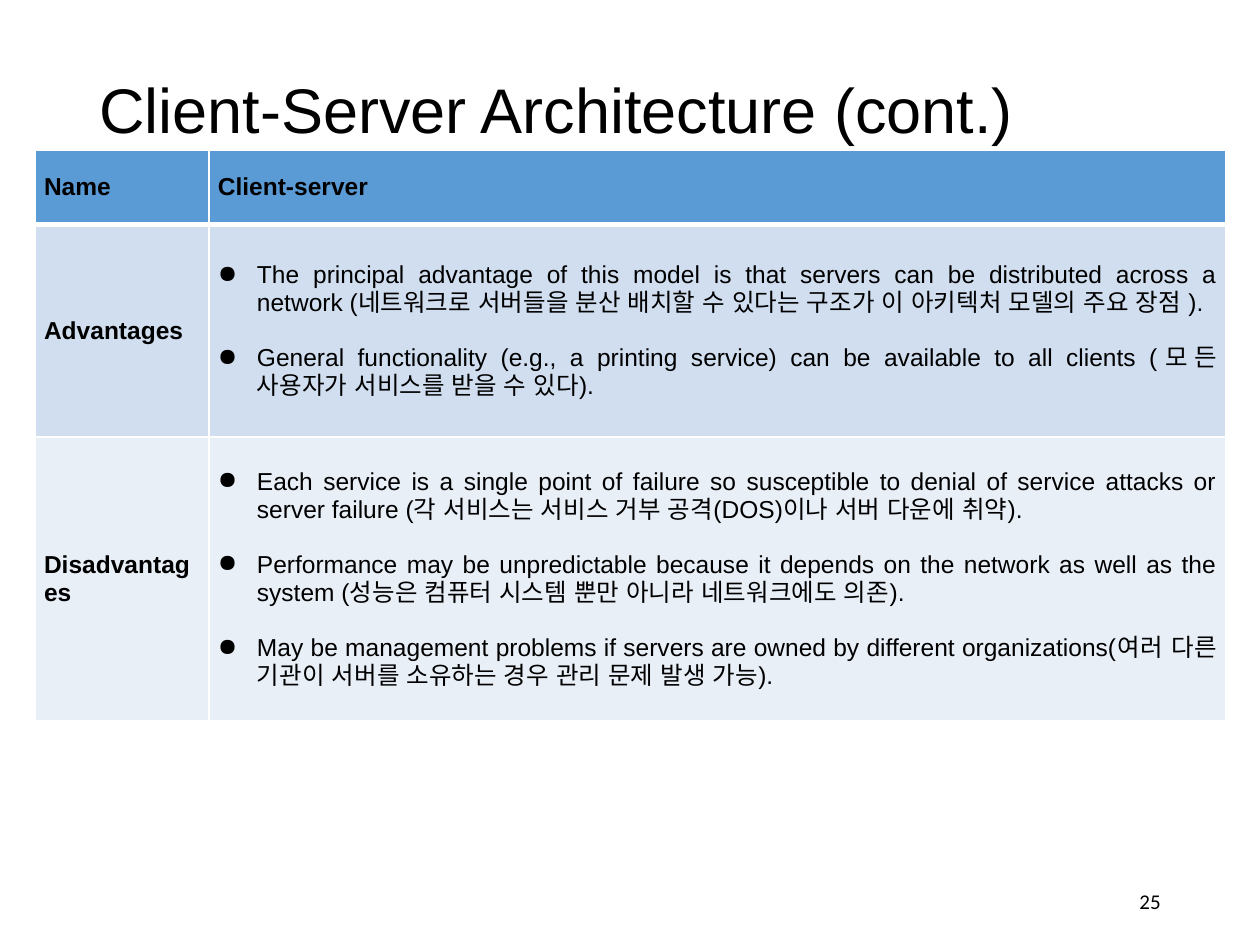
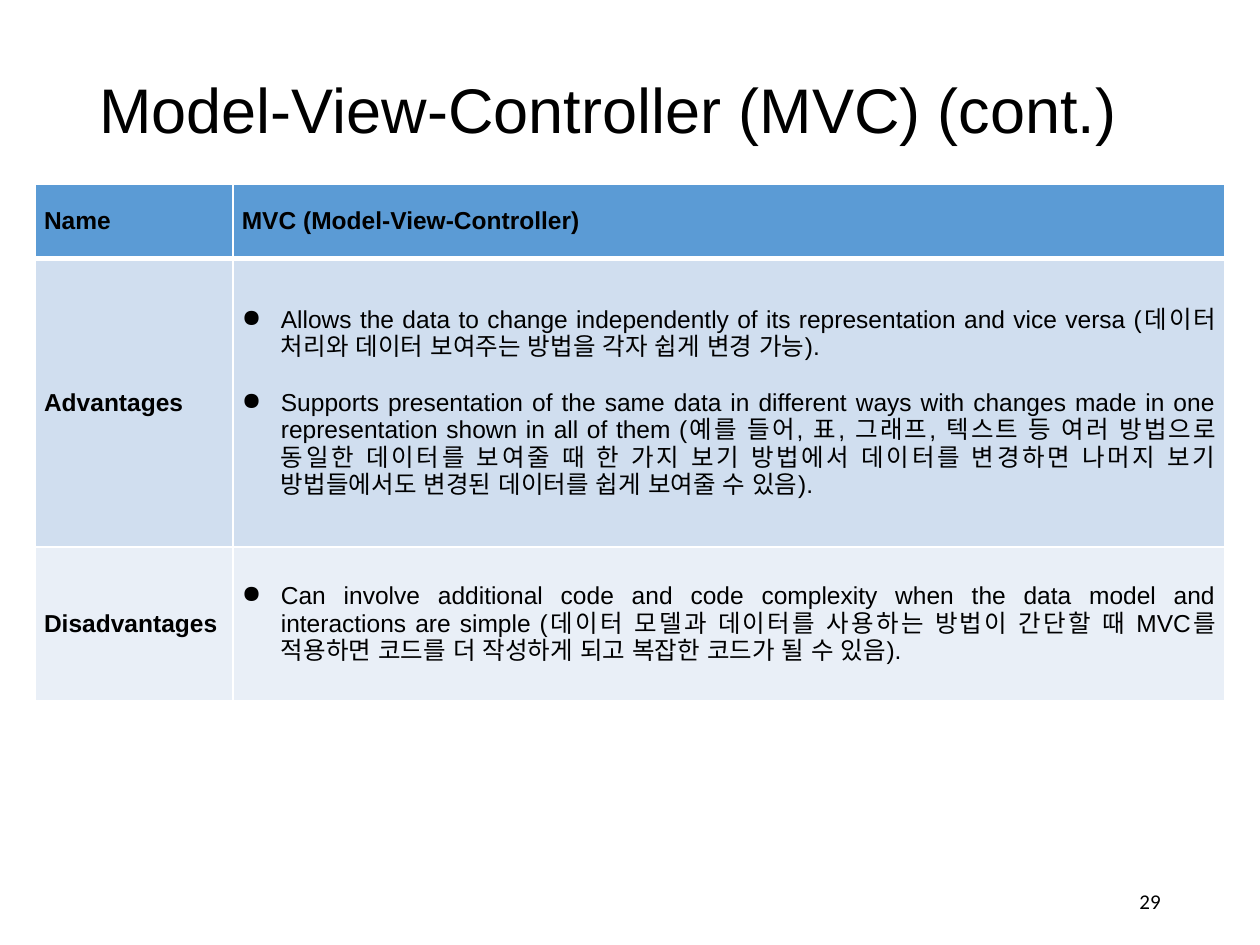
from dataclasses import dataclass

from lxml import etree
from pptx import Presentation
from pptx.dml.color import RGBColor
from pptx.enum.text import MSO_ANCHOR, PP_ALIGN
from pptx.oxml.ns import qn
from pptx.util import Inches, Pt

LEFT, RIGHT, JUSTIFY = PP_ALIGN.LEFT, PP_ALIGN.RIGHT, PP_ALIGN.JUSTIFY
MIDDLE = MSO_ANCHOR.MIDDLE

COLORS = {
    "text": "000000",
    "border": "FFFFFF",
    "header": "5B9BD5",
    "advantages": "D0DEEF",
    "disadvantages": "E9EFF7",
}
TABLE_LEFT = 0.28
BULLET_INDENT = 0.31
BULLET_GAP = 16  # points between two bullets


@dataclass
class PatternSlide:
    title: str
    number: int
    name: str
    advantages: list[str]
    disadvantages: list[str]
    table_top: float
    column_widths: tuple[float, float]
    row_heights: tuple[float, float, float]


SLIDES = [
    PatternSlide(
        title="Client-Server Architecture (cont.)",
        number=25,
        name="Client-server",
        advantages=[
            "The principal advantage of this model is that servers can be distributed "
            "across a network (네트워크로 서버들을 분산 배치할 수 있다는 구조가 이 아키텍처 모델의 "
            "주요 장점 ).",
            "General functionality (e.g., a printing service) can be available to all "
            "clients (모든 사용자가 서비스를 받을 수 있다).",
        ],
        disadvantages=[
            "Each service is a single point of failure so susceptible to denial of service "
            "attacks or server failure (각 서비스는 서비스 거부 공격(DOS)이나 서버 다운에 취약).",
            "Performance may be unpredictable because it depends on the network as well as "
            "the system (성능은 컴퓨터 시스템 뿐만 아니라 네트워크에도 의존).",
            "May be management problems if servers are owned by different "
            "organizations(여러 다른 기관이 서버를 소유하는 경우 관리 문제 발생 가능).",
        ],
        table_top=1.19,
        column_widths=(1.38, 8.07),
        row_heights=(0.59, 1.69, 2.25),
    ),
    PatternSlide(
        title="Model-View-Controller (MVC) (cont.)",
        number=29,
        name="MVC (Model-View-Controller)",
        advantages=[
            "Allows the data to change independently of its representation and vice versa "
            "(데이터 처리와 데이터 보여주는 방법을 각자 쉽게 변경 가능).",
            "Supports presentation of the same data in different ways with changes made in "
            "one representation shown in all of them (예를 들어, 표, 그래프, 텍스트 등 여러 "
            "방법으로 동일한 데이터를 보여줄 때 한 가지 보기 방법에서 데이터를 변경하면 나머지 보기 "
            "방법들에서도 변경된 데이터를 쉽게 보여줄 수 있음).",
        ],
        disadvantages=[
            "Can involve additional code and code complexity when the data model and "
            "interactions are simple (데이터 모델과 데이터를 사용하는 방법이 간단할 때 MVC를 "
            "적용하면 코드를 더 작성하게 되고 복잡한 코드가 될 수 있음).",
        ],
        table_top=1.46,
        column_widths=(1.57, 7.87),
        row_heights=(0.59, 2.29, 1.22),
    ),
]


def add_bullet(paragraph) -> None:
    properties = paragraph._p.get_or_add_pPr()
    properties.set("marL", str(Inches(BULLET_INDENT)))
    properties.set("indent", str(-Inches(BULLET_INDENT)))
    etree.SubElement(properties, qn("a:buChar")).set("char", "●")


def write_text(text_frame, texts: list[str], *, size: float = 14, font: str = "Arial",
               bold: bool = False, align=JUSTIFY, bullets: bool = False,
               line_spacing: float = 1.0) -> None:
    """Fill a text frame with one paragraph for each text."""
    for index, text in enumerate(texts):
        paragraph = text_frame.add_paragraph() if index else text_frame.paragraphs[0]
        paragraph.alignment = align
        paragraph.line_spacing = line_spacing
        paragraph.space_before = Pt(BULLET_GAP if index else 0)
        if bullets:
            add_bullet(paragraph)
        run = paragraph.add_run()
        run.text = text
        run.font.size = Pt(size)
        run.font.name = font
        run.font.bold = bold
        run.font.color.rgb = RGBColor.from_string(COLORS["text"])
        east_asian = etree.SubElement(run.font._element, qn("a:ea"))
        east_asian.set("typeface", font)


def add_text_box(slide, left: float, top: float, width: float, height: float,
                 text: str, **text_format) -> None:
    box = slide.shapes.add_textbox(Inches(left), Inches(top), Inches(width), Inches(height))
    box.text_frame.word_wrap = True
    box.text_frame.vertical_anchor = MIDDLE
    write_text(box.text_frame, [text], **text_format)


def set_borders(cell, top: float = 1, bottom: float = 1) -> None:
    properties = cell._tc.get_or_add_tcPr()
    for side, width in (("L", 1), ("R", 1), ("T", top), ("B", bottom)):
        line = etree.SubElement(properties, qn(f"a:ln{side}"), w=str(Pt(width)))
        fill = etree.SubElement(line, qn("a:solidFill"))
        etree.SubElement(fill, qn("a:srgbClr"), val=COLORS["border"])


def format_cell(cell, color: str) -> None:
    cell.vertical_anchor = MIDDLE
    cell.margin_left = cell.margin_right = Inches(0.07)
    cell.margin_top = cell.margin_bottom = 0
    cell.fill.solid()
    cell.fill.fore_color.rgb = RGBColor.from_string(COLORS[color])


def add_pattern_table(slide, content: PatternSlide) -> None:
    rows = [
        ("Name", [content.name], "header"),
        ("Advantages", content.advantages, "advantages"),
        ("Disadvantages", content.disadvantages, "disadvantages"),
    ]
    table = slide.shapes.add_table(
        len(rows), 2, Inches(TABLE_LEFT), Inches(content.table_top),
        Inches(sum(content.column_widths)), Inches(sum(content.row_heights)),
    ).table
    for column, width in zip(table.columns, content.column_widths):
        column.width = Inches(width)

    for index, (label, texts, color) in enumerate(rows):
        table.rows[index].height = Inches(content.row_heights[index])
        is_header = index == 0
        label_cell, text_cell = table.rows[index].cells
        for cell in (label_cell, text_cell):
            # The rule under the header is heavier than the others
            set_borders(cell, top=3 if index == 1 else 1, bottom=3 if is_header else 1)
            format_cell(cell, color)
        write_text(label_cell.text_frame, [label], bold=True)
        write_text(text_cell.text_frame, texts, bold=is_header, bullets=not is_header)


def add_pattern_slide(presentation, content: PatternSlide) -> None:
    slide = presentation.slides.add_slide(presentation.slide_layouts[6])
    # Title
    add_text_box(slide, 0.69, 0.4, 8.62, 0.99, content.title,
                 size=36, align=LEFT, line_spacing=0.9)
    # Slide number
    add_text_box(slide, 7.06, 6.95, 2.25, 0.4, str(content.number),
                 size=12, font="Calibri", align=RIGHT)
    # Advantages and disadvantages
    add_pattern_table(slide, content)


def main() -> None:
    presentation = Presentation()
    presentation.slide_width = Inches(10)
    presentation.slide_height = Inches(7.5)
    for content in SLIDES:
        add_pattern_slide(presentation, content)
    presentation.save("out.pptx")


if __name__ == "__main__":
    main()
